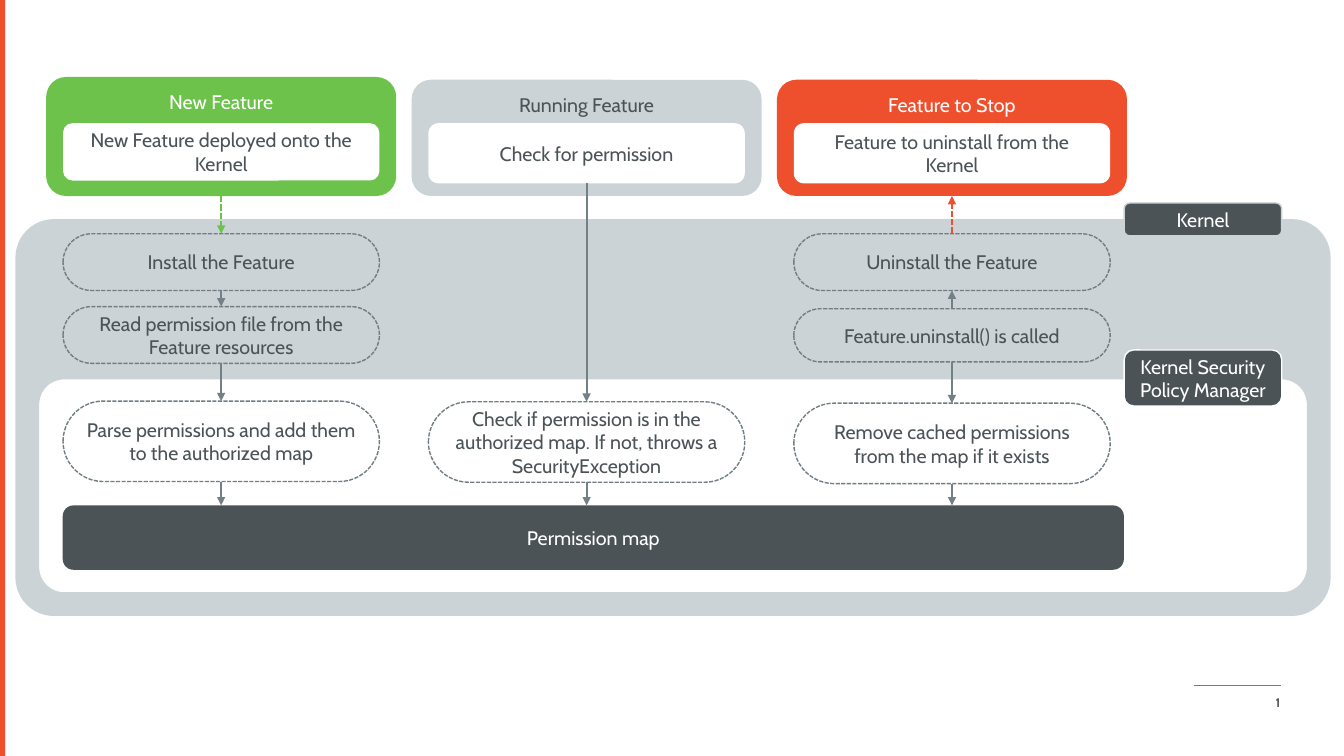
from lxml import etree
from pptx import Presentation, util as u
from pptx.dml.color import RGBColor
from pptx.enum import dml, shapes, text
from pptx.oxml import ns

WHITE, MIST, SLATE = "FFFFFF", "CBD3D7", "4B5357"
GREEN, RED = "6CC24A", "EE502E"
OUTLINE, ARROW = "717D83", "738086"
HEADER_WIDTH, LANE_PITCH, INSET, STEP_WIDTH = 250, 261, 12, 226
HEADER_BOTTOM, CARD_TOP, MAP_TOP = 140, 88, 361


def paint(target, color):
    target.solid()
    target.fore_color.rgb = RGBColor.from_string(color)


def style_line(line, color, width, dashed=False):
    paint(line.fill, color)
    line.width = u.Pt(width)
    if dashed:
        line.dash_style = dml.MSO_LINE.SQUARE_DOT


def write(frame, lines, color, size=14, bold=False, align=text.PP_ALIGN.CENTER):
    frame.word_wrap = True
    frame.vertical_anchor = text.MSO_ANCHOR.MIDDLE
    for number, line in enumerate(lines):
        para = frame.paragraphs[0] if number == 0 else frame.add_paragraph()
        para.alignment = align
        span = para.add_run()
        span.text = line
        span.font.name = "Cabin"
        span.font.size = u.Pt(size)
        span.font.bold = bold
        paint(span.font.fill, color)


def add_box(page, box, fill=None, line=None, dashed=False, corner=0.167,
            lines=(), color=SLATE, kind=shapes.MSO_SHAPE.ROUNDED_RECTANGLE):
    shape = page.shapes.add_shape(kind, *map(u.Pt, box))
    shape.shadow.inherit = False
    if kind == shapes.MSO_SHAPE.ROUNDED_RECTANGLE:
        shape.adjustments[0] = corner
    if fill:
        paint(shape.fill, fill)
    else:
        shape.fill.background()
    if line:
        style_line(shape.line, line, 1, dashed)
    else:
        shape.line.fill.background()
    write(shape.text_frame, lines, color)
    return shape


def add_line(page, start, end, color, width, dashed=False, arrow=False):
    line = page.shapes.add_connector(
        shapes.MSO_CONNECTOR.STRAIGHT, *map(u.Pt, (*start, *end)))
    style_line(line.line, color, width, dashed)
    if arrow:
        etree.SubElement(line.line._get_or_add_ln(), ns.qn("a:tailEnd"), type="triangle")
    etree.SubElement(line._element.spPr, ns.qn("a:effectLst"))


def add_frame(page):
    add_box(page, (0, 0, 3.6, 540), RED, kind=shapes.MSO_SHAPE.RECTANGLE)
    add_line(page, (853, 489.6), (915, 489.6), OUTLINE, 0.75)
    number = page.shapes.add_textbox(*map(u.Pt, (879, 487.5, 42.5, 28.8)))
    write(number.text_frame, ["1"], SLATE, 9, True, text.PP_ALIGN.RIGHT)


def add_kernel(page, box):
    left, top, width, height = box
    add_box(page, box, MIST, corner=0.097)
    add_box(page, (left + 16.5, top + 114, width - 33, 153), WHITE, MIST, corner=0.12)
    add_box(page, (left + 33.8, MAP_TOP, 758, 46), SLATE,
            lines=["Permission map"], color=WHITE)


def add_tags(page, left, width):
    add_box(page, (left, 145, width, 23.5), SLATE, MIST, lines=["Kernel"], color=WHITE)
    add_box(page, (left, 250, width, 40), SLATE, WHITE,
            lines=["Kernel Security Policy Manager"], color=WHITE)


def add_lane(page, left, lane):
    top, card_height = lane["top"], lane["card_height"]
    header = add_box(page, (left, top, HEADER_WIDTH, HEADER_BOTTOM - top), lane["fill"],
                     lines=[lane["title"]], color=lane["color"])
    header.text_frame.vertical_anchor = text.MSO_ANCHOR.TOP
    header.text_frame.margin_top = u.Pt(5)
    add_box(page, (left + INSET, CARD_TOP, STEP_WIDTH, card_height), WHITE,
            lines=[lane["card"]])

    center = left + HEADER_WIDTH / 2
    linked = lane["linked"]
    above = HEADER_BOTTOM if linked else CARD_TOP + card_height
    for number, (step_top, height, lines, upward) in enumerate(lane["steps"]):
        add_box(page, (left + INSET, step_top, STEP_WIDTH, height), line=OUTLINE,
                dashed=True, corner=0.5, lines=lines)
        ends = [(center, above), (center, step_top)]
        if upward:
            ends.reverse()
        dashed = linked and number == 0
        add_line(page, *ends, lane["fill"] if dashed else ARROW, 1.5, dashed, True)
        above = step_top + height
    add_line(page, (center, above), (center, MAP_TOP), ARROW, 1.5, arrow=True)


LANES = [
    {"title": "New Feature", "fill": GREEN, "color": WHITE, "top": 55,
     "card": "New Feature deployed onto the Kernel", "card_height": 41, "linked": True,
     "steps": [
         (167, 40.5, ["Install the Feature"], False),
         (219, 40.5, ["Read permission file from the Feature resources"], False),
         (286.5, 57.5, ["Parse permissions and add them", "to the authorized map"], False)]},
    {"title": "Running Feature", "fill": MIST, "color": SLATE, "top": 57,
     "card": "Check for permission", "card_height": 43, "linked": False,
     "steps": [
         (287, 57.5, ["Check if permission is in the authorized map. "
                      "If not, throws a SecurityException"], False)]},
    {"title": "Feature to Stop", "fill": RED, "color": WHITE, "top": 57,
     "card": "Feature to uninstall from the Kernel", "card_height": 43, "linked": True,
     "steps": [
         (167, 40.5, ["Uninstall the Feature"], True),
         (220.5, 38, ["Feature.uninstall() is called"], True),
         (288, 57.5, ["Remove cached permissions from the map if it exists"], False)]},
]


def main():
    deck = Presentation()
    deck.slide_width, deck.slide_height = u.Pt(960), u.Pt(540)
    page = deck.slides.add_slide(deck.slide_layouts[6])
    add_frame(page)
    add_kernel(page, (11, 156.5, 939.5, 283.5))
    for number, lane in enumerate(LANES):
        add_lane(page, 33 + number * LANE_PITCH, lane)
    add_tags(page, 803, 112.5)
    deck.save("out.pptx")


if __name__ == "__main__":
    main()
